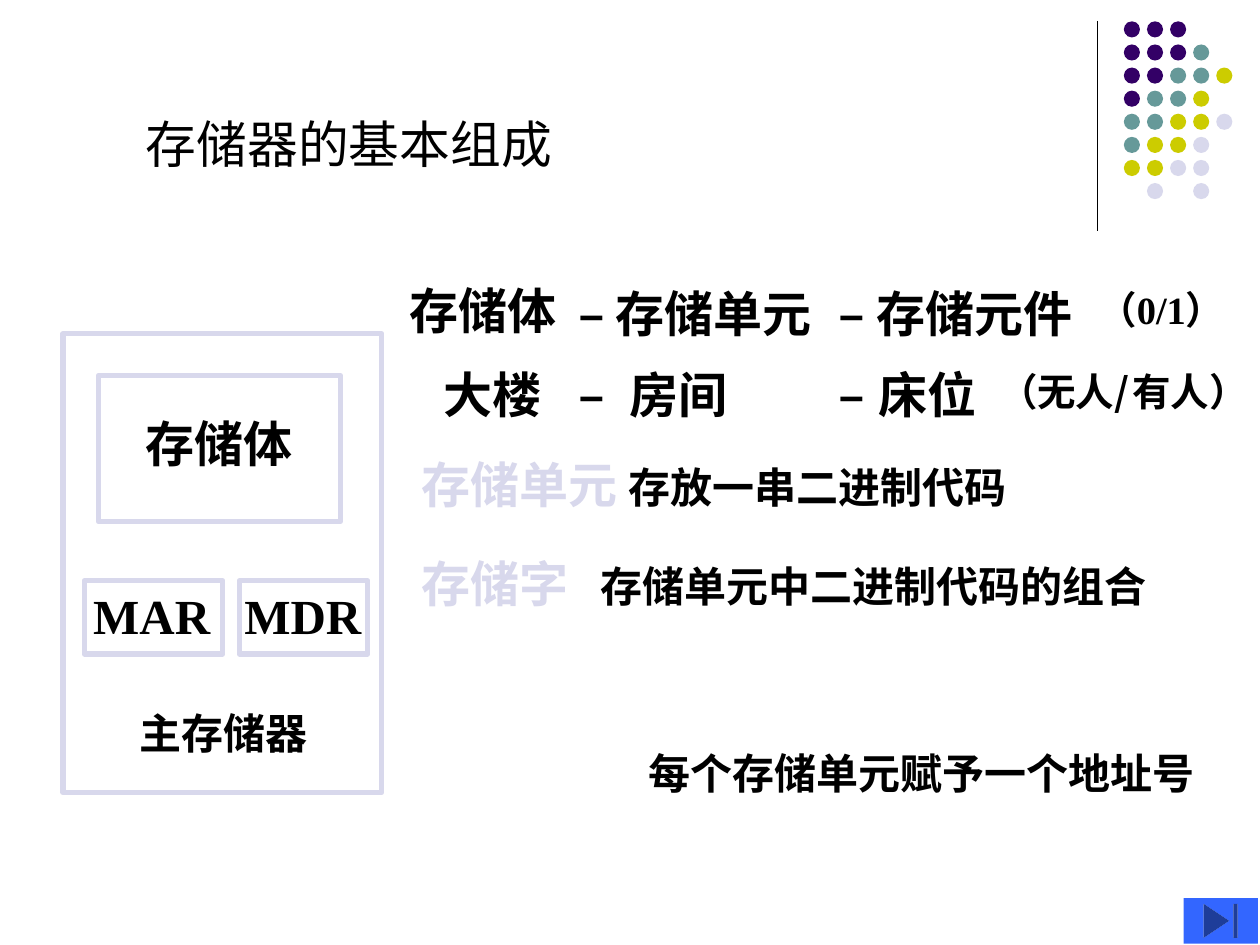
"""Build a slide on the basic structure of a memory."""
from lxml import etree
from pptx import Presentation
from pptx.dml.color import RGBColor
from pptx.enum.shapes import MSO_CONNECTOR, MSO_SHAPE
from pptx.enum.text import MSO_ANCHOR, MSO_AUTO_SIZE
from pptx.oxml.ns import qn
from pptx.util import Pt

RECT, OVAL = MSO_SHAPE.RECTANGLE, MSO_SHAPE.OVAL
BUTTON = MSO_SHAPE.ACTION_BUTTON_END
STRAIGHT = MSO_CONNECTOR.STRAIGHT
TOP, MIDDLE = MSO_ANCHOR.TOP, MSO_ANCHOR.MIDDLE
GROW, FIXED = MSO_AUTO_SIZE.SHAPE_TO_FIT_TEXT, MSO_AUTO_SIZE.NONE

BLACK, LILAC = "000000", "D8D8EC"
CJK, SERIF, SANS = "Noto Sans CJK SC", "Times New Roman", "Arial"

DOT_COLORS = {"P": "330066", "T": "669999", "Y": "CCCC00", "L": LILAC}
DOT_ROWS = ["PPP", "PPPT", "PPTTY", "PTTY", "TTYYL", "TYYL", "YYLL", " L L"]
DOT_LEFT, DOT_TOP, DOT_SIZE, DOT_STEP = 642.2, 12.2, 9.2, 13.2

FRAMES = [
    (36, 190.8, 182.2, 262.1),
    (56.2, 214.6, 138.2, 83.5),
    (48.2, 331.9, 79.2, 41.8),
    (136.8, 331.9, 73.4, 41.8),
]

TITLE = ((76.3, 60.5, 329, 42.5), [("存储器的基本组成", 29, SANS, BLACK)])

NOTES = [
    ((226.8, 157, 110.9, 41), [("存储体", 28, CJK, BLACK)], None),
    ((246.2, 204.5, 91.4, 41), [("大楼", 28, CJK, BLACK)], None),
    ((234, 256.3, 455.8, 41),
     [("存储单元 ", 28, CJK, LILAC), ("存放一串二进制代码", 24, CJK, BLACK)], None),
    ((234, 312.5, 549.4, 41),
     [("存储字\t", 28, CJK, LILAC), ("存储单元中二进制代码的组合", 24, CJK, BLACK)], 102),
    ((363.6, 423.4, 380.9, 36), [("每个存储单元赋予一个地址号", 24, CJK, BLACK)], None),
    ((323.3, 158.4, 178.6, 41),
     [("– ", 28, SERIF, BLACK), ("存储单元", 28, CJK, BLACK)], None),
    ((472.3, 158.4, 177.1, 41),
     [("– ", 28, SERIF, BLACK), ("存储元件", 28, CJK, BLACK)], None),
    ((620.6, 159.8, 99.4, 33.8),
     [("（", 22, CJK, BLACK), ("0/1", 22, SERIF, BLACK), ("）", 22, CJK, BLACK)], None),
    ((323.3, 204.5, 133.2, 41),
     [("–\t", 28, SERIF, BLACK), ("房间", 28, CJK, BLACK)], 29.5),
    ((472.3, 204.5, 133.9, 41),
     [("–\t", 28, SERIF, BLACK), ("床位", 28, CJK, BLACK)], 22.5),
    ((563.8, 206.6, 198.7, 33.8),
     [("（无人/", 22, CJK, BLACK), (" ", 8, CJK, BLACK), ("有人）", 22, CJK, BLACK)], None),
]

FRAME_LABELS = [
    ((139.7, 331.2, 82.1, 41), "MDR", 28, SERIF, (0, 3.6, 0, 3.6)),
    ((53.3, 331.2, 74.2, 41), "MAR", 28, SERIF, (0, 3.6, 7.2, 3.6)),
    ((79.9, 404.6, 96.5, 28.8), "主存储器", 24, CJK, (0, 0, 0, 0)),
    ((76.3, 232.6, 98.6, 41), "存储体", 28, CJK, (7.2, 3.6, 7.2, 3.6)),
]


def rgb(value):
    return RGBColor.from_string(value)


def add_shape(s, kind, box, fill=None, line=None):
    sp = s.shapes.add_shape(kind, *map(Pt, box))
    sp.shadow.inherit = False
    if fill:
        sp.fill.solid()
        sp.fill.fore_color.rgb = rgb(fill)
    else:
        sp.fill.background()
    if line:
        sp.line.color.rgb = rgb(line)
        sp.line.width = Pt(3)
    else:
        sp.line.fill.background()


def add_text(s, box, runs, bold=True, tab=None, wrap=True,
             insets=(7.2, 3.6, 7.2, 3.6), anchor=TOP, fit=GROW):
    tf = s.shapes.add_textbox(*map(Pt, box)).text_frame
    tf.word_wrap, tf.auto_size, tf.vertical_anchor = wrap, fit, anchor
    tf.margin_left, tf.margin_top, tf.margin_right, tf.margin_bottom = map(Pt, insets)
    p = tf.paragraphs[0]
    if tab:
        tabs = etree.SubElement(p._p.get_or_add_pPr(), qn("a:tabLst"))
        etree.SubElement(tabs, qn("a:tab"), pos=str(Pt(tab)), algn="l")
    for text, size, font, color in runs:
        r = p.add_run()
        r.text = text
        r.font.size, r.font.bold, r.font.name = Pt(size), bold, font
        r.font.color.rgb = rgb(color)
        etree.SubElement(r._r.get_or_add_rPr(), qn("a:ea"), typeface=CJK)


def add_dots(s):
    for row, marks in enumerate(DOT_ROWS):
        for col, mark in enumerate(marks):
            if mark in DOT_COLORS:
                box = (DOT_LEFT + col * DOT_STEP, DOT_TOP + row * DOT_STEP,
                       DOT_SIZE, DOT_SIZE)
                add_shape(s, OVAL, box, fill=DOT_COLORS[mark])


def main():
    prs = Presentation()
    prs.slide_width, prs.slide_height = Pt(720), Pt(540)
    s = prs.slides.add_slide(prs.slide_layouts[6])

    rule = s.shapes.add_connector(STRAIGHT, Pt(627), Pt(12), Pt(627), Pt(132))
    rule.line.color.rgb = rgb(BLACK)
    rule.line.width = Pt(0.75)
    etree.SubElement(rule._element.spPr, qn("a:effectLst"))
    add_dots(s)

    for box, runs, tab in NOTES:
        add_text(s, box, runs, tab=tab)
    for box in FRAMES:
        add_shape(s, RECT, box, line=LILAC)
    for box, text, size, font, insets in FRAME_LABELS:
        add_text(s, box, [(text, size, font, BLACK)], wrap=False, insets=insets)

    add_shape(s, BUTTON, (676.3, 513.2, 42.5, 26), fill="3366FF")
    add_text(s, *TITLE, bold=False, anchor=MIDDLE, fit=FIXED)
    prs.save("out.pptx")


if __name__ == "__main__":
    main()
